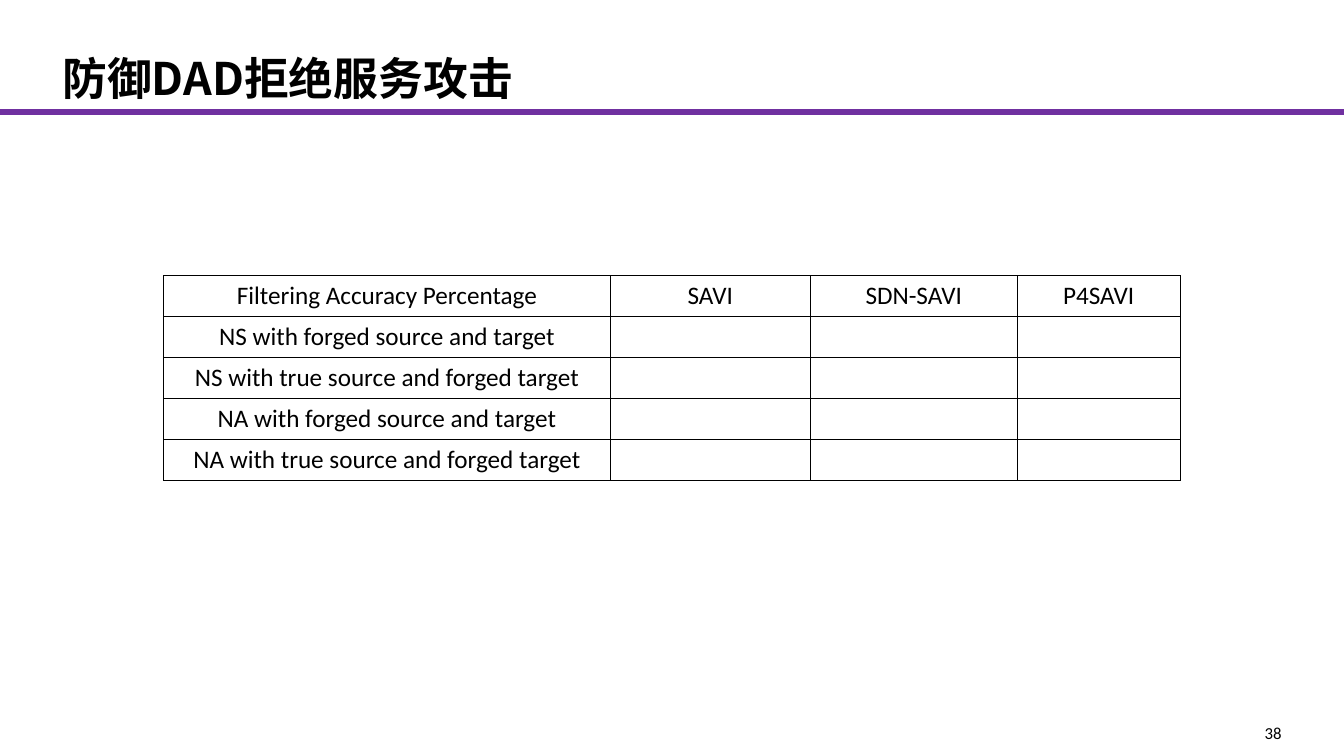
from dataclasses import dataclass

from lxml.etree import SubElement
from pptx import Presentation
from pptx.dml.color import RGBColor
from pptx.enum.shapes import MSO_CONNECTOR
from pptx.enum.text import MSO_ANCHOR, MSO_AUTO_SIZE, PP_ALIGN
from pptx.oxml import parse_xml
from pptx.oxml.ns import nsdecls, qn
from pptx.slide import Slide
from pptx.table import _Cell
from pptx.text.text import TextFrame
from pptx.util import Cm, Pt


@dataclass(frozen=True)
class Theme:
    ink: str = "000000"
    paper: str = "FFFFFF"
    accent: str = "7030A0"
    latin: str = "Calibri"
    han: str = "Noto Sans CJK SC"
    title: int = 32
    body: int = 18
    small: int = 12


@dataclass(frozen=True)
class Column:
    head: str
    width: float


THEME = Theme()
WIDTH, HEIGHT = 33.88, 19.05
ROW = 1.03
COLUMNS = [
    Column("Filtering Accuracy Percentage", 11.25),
    Column("SAVI", 5.05),
    Column("SDN-SAVI", 5.21),
    Column("P4SAVI", 4.11),
]
CASES = [
    f"{kind} with {source} target"
    for kind in ("NS", "NA")
    for source in ("forged source and", "true source and forged")
]


def write(frame: TextFrame, text: str, *, size: int, font: str = THEME.latin,
          bold: bool = False, align: PP_ALIGN = PP_ALIGN.LEFT) -> None:
    par = frame.paragraphs[0]
    par.alignment = align
    run = par.add_run()
    run.text = text
    run.font.size = Pt(size)
    run.font.bold = bold
    run.font.name = font
    run.font.color.rgb = RGBColor.from_string(THEME.ink)
    SubElement(run.font._element, qn("a:ea"), typeface=font)


def inset(frame: TextFrame, side: float, edge: float) -> None:
    frame.margin_left = frame.margin_right = Cm(side)
    frame.margin_top = frame.margin_bottom = Cm(edge)
    frame.auto_size = MSO_AUTO_SIZE.NONE


def add_title(slide: Slide, text: str) -> None:
    title = slide.shapes.title
    title.left, title.top = Cm(1.57), Cm(0.46)
    title.width, title.height = Cm(30.76), Cm(2.31)
    frame = title.text_frame
    inset(frame, 0, 0.13)
    frame.vertical_anchor = MSO_ANCHOR.BOTTOM
    write(frame, text, size=THEME.title, font=THEME.han, bold=True)


def add_rule(slide: Slide) -> None:
    y = Cm(2.83)
    rule = slide.shapes.add_connector(MSO_CONNECTOR.STRAIGHT, 0, y, Cm(WIDTH), y)
    rule.line.color.rgb = RGBColor.from_string(THEME.accent)
    rule.line.width = Pt(4.25)
    SubElement(rule._element.spPr, qn("a:effectLst"))


def add_number(slide: Slide, text: str) -> None:
    box = slide.shapes.add_textbox(Cm(31.65), Cm(18.21), Cm(0.66), Cm(0.5))
    inset(box.text_frame, 0, 0)
    box.text_frame.word_wrap = False
    write(box.text_frame, text, size=THEME.small, align=PP_ALIGN.RIGHT)


def style(cell: _Cell) -> None:
    """Give the cell a plain fill and a thin line on all four sides."""
    cell.fill.solid()
    cell.fill.fore_color.rgb = RGBColor.from_string(THEME.paper)
    props = cell._tc.get_or_add_tcPr()
    for spot, side in enumerate("LRTB"):
        props.insert(spot, parse_xml(
            f'<a:ln{side} {nsdecls("a")} w="{Pt(1)}"><a:solidFill>'
            f'<a:srgbClr val="{THEME.ink}"/></a:solidFill></a:ln{side}>'))


def add_grid(slide: Slide) -> None:
    rows = [[col.head for col in COLUMNS]] + [[case] for case in CASES]
    width = sum(col.width for col in COLUMNS)
    table = slide.shapes.add_table(
        len(rows), len(COLUMNS), Cm((WIDTH - width) / 2), Cm(6.95),
        Cm(width), Cm(ROW * len(rows))).table
    table.first_row = table.horz_banding = False
    for track, col in zip(table.columns, COLUMNS):
        track.width = Cm(col.width)
    for track in table.rows:
        track.height = Cm(ROW)
    for cell in table.iter_cells():
        style(cell)
    for i, row in enumerate(rows):
        for j, text in enumerate(row):
            write(table.cell(i, j).text_frame, text,
                  size=THEME.body, align=PP_ALIGN.CENTER)


def main() -> None:
    deck = Presentation()
    deck.slide_width, deck.slide_height = Cm(WIDTH), Cm(HEIGHT)
    slide = deck.slides.add_slide(deck.slide_layouts[5])
    add_number(slide, "38")
    add_rule(slide)
    add_title(slide, "防御DAD拒绝服务攻击")
    add_grid(slide)
    deck.save("out.pptx")


if __name__ == "__main__":
    main()
